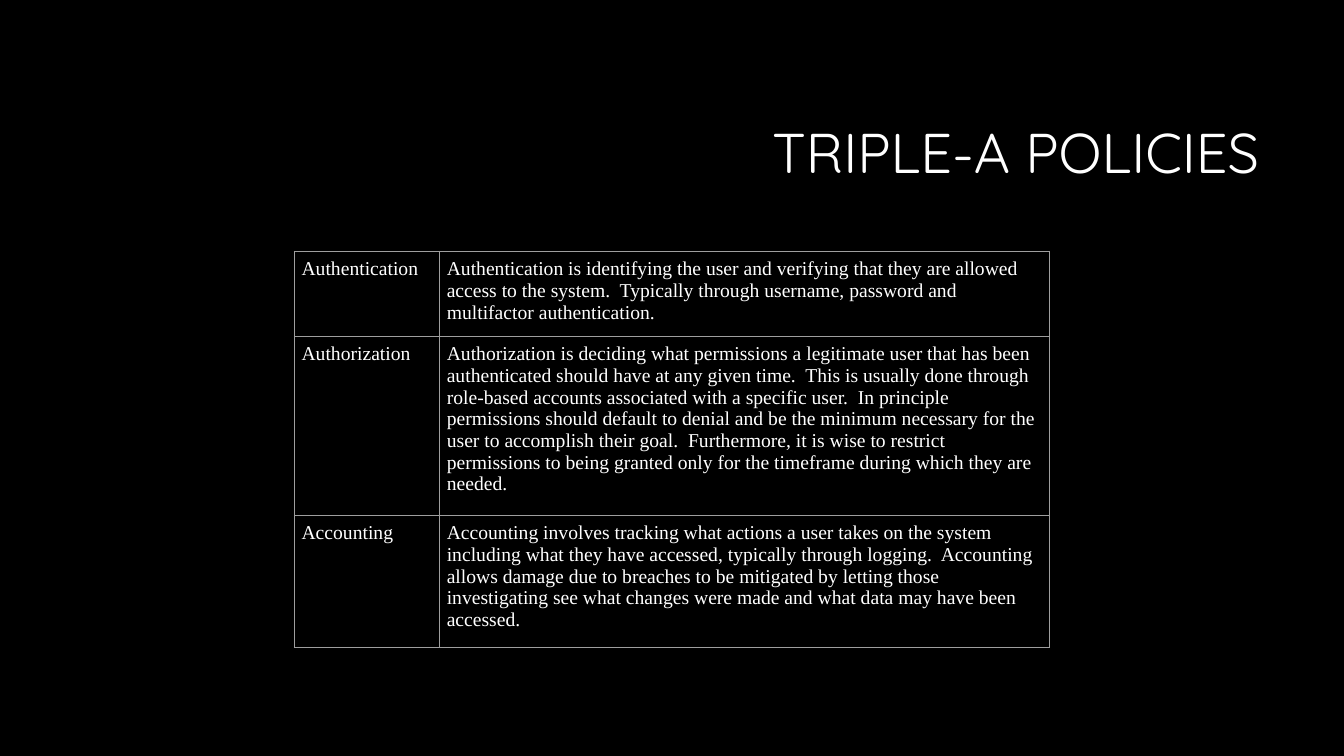
import pptx
import pptx.dml.color
import pptx.enum.text
import pptx.oxml
import pptx.oxml.ns
import pptx.util
from dataclasses import dataclass

Cm = pptx.util.Cm
Pt = pptx.util.Pt
RGB = pptx.dml.color.RGBColor


@dataclass(frozen=True)
class Theme:
    back: str = "000000"
    ink: str = "FFFFFF"
    rule: str = "9E9E9E"
    head_font: str = "Quicksand"
    body_font: str = "Times New Roman"
    head_size: float = 40
    body_size: float = 14
    rule_size: float = 0.75


THEME = Theme()

TITLE = "TRIPLE-A POLICIES"
POLICIES = [
    ("Authentication",
     "Authentication is identifying the user and verifying that they are "
     "allowed access to the system.  Typically through username, password "
     "and multifactor authentication."),
    ("Authorization",
     "Authorization is deciding what permissions a legitimate user that has "
     "been authenticated should have at any given time.  This is usually done "
     "through role-based accounts associated with a specific user.  In "
     "principle permissions should default to denial and be the minimum "
     "necessary for the user to accomplish their goal.  Furthermore, it is "
     "wise to restrict permissions to being granted only for the timeframe "
     "during which they are needed."),
    ("Accounting",
     "Accounting involves tracking what actions a user takes on the system "
     "including what they have accessed, typically through logging.  "
     "Accounting allows damage due to breaches to be mitigated by letting "
     "those investigating see what changes were made and what data may have "
     "been accessed."),
]


def add_run(para, text, font, size):
    run = para.add_run()
    run.text = text
    run.font.name = font
    run.font.size = Pt(size)
    run.font.color.rgb = RGB.from_string(THEME.ink)


def add_title(slide, left, top, width, height):
    frame = slide.shapes.add_textbox(left, top, width, height).text_frame
    frame.word_wrap = True
    frame.vertical_anchor = pptx.enum.text.MSO_ANCHOR.MIDDLE
    para = frame.paragraphs[0]
    para.alignment = pptx.enum.text.PP_ALIGN.RIGHT
    para.line_spacing = 0.9
    add_run(para, TITLE, THEME.head_font, THEME.head_size)


def add_rules(cell):
    # Cell borders come before the fill in the cell properties
    props = cell._tc.get_or_add_tcPr()
    for spot, side in enumerate(("lnL", "lnR", "lnT", "lnB")):
        line = pptx.oxml.parse_xml(
            f'<a:{side} {pptx.oxml.ns.nsdecls("a")} w="{Pt(THEME.rule_size)}">'
            f'<a:solidFill><a:srgbClr val="{THEME.rule}"/></a:solidFill>'
            f'</a:{side}>')
        props.insert(spot, line)


def add_grid(slide, left, top, width, term):
    # Rows start low and grow to fit their text
    low = Cm(0.74)
    rows = len(POLICIES)
    table = slide.shapes.add_table(
        rows, 2, left, top, width, low * rows).table
    table.first_row = False
    table.horz_banding = False
    table.columns[0].width = term
    table.columns[1].width = width - term

    for row, texts in zip(table.rows, POLICIES):
        row.height = low
        for cell, text in zip(row.cells, texts):
            cell.margin_left = cell.margin_right = Cm(0.18)
            cell.margin_top = cell.margin_bottom = Cm(0.18)
            cell.fill.background()
            add_rules(cell)
            add_run(cell.text_frame.paragraphs[0], text,
                    THEME.body_font, THEME.body_size)


def main():
    deck = pptx.Presentation()
    deck.slide_width = Cm(33.87)
    deck.slide_height = Cm(19.05)
    slide = deck.slides.add_slide(deck.slide_layouts[6])
    fill = slide.background.fill
    fill.solid()
    fill.fore_color.rgb = RGB.from_string(THEME.back)

    add_title(slide, Cm(8.05), Cm(2.13), Cm(23.93), Cm(3.58))
    add_grid(slide, Cm(7.42), Cm(6.33), Cm(19.03), Cm(3.66))
    deck.save("out.pptx")


if __name__ == "__main__":
    main()
